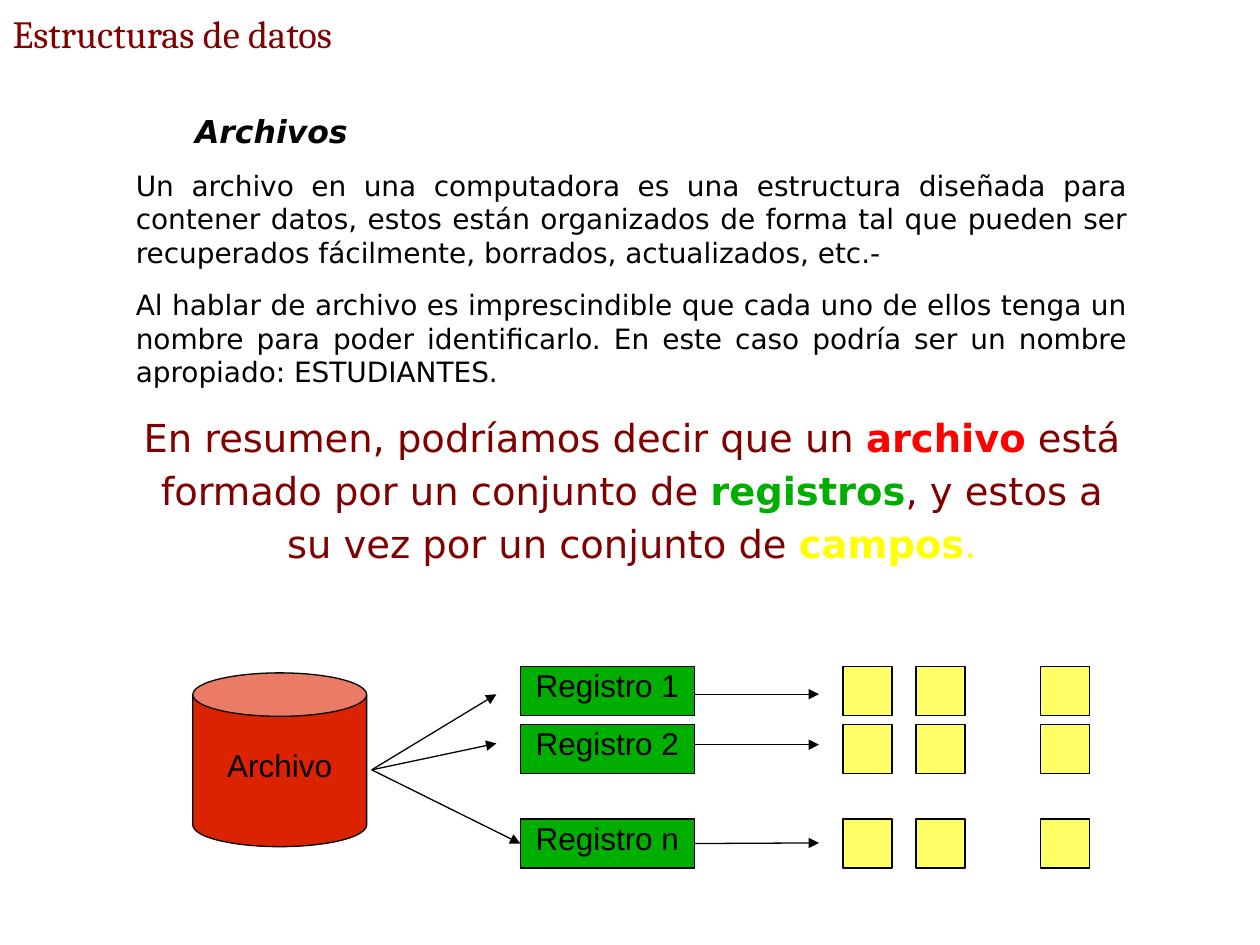
import pptx
import pptx.util
import pptx.dml.color
import pptx.enum.shapes
import pptx.enum.text
import pptx.oxml
import pptx.oxml.ns

Inches, Pt = pptx.util.Inches, pptx.util.Pt
SHAPE = pptx.enum.shapes.MSO_SHAPE
ALIGN = pptx.enum.text.PP_ALIGN
ANCHOR = pptx.enum.text.MSO_ANCHOR
FIT = pptx.enum.text.MSO_AUTO_SIZE

HUES = {
    "black": "000000", "maroon": "800000", "red": "FF0000", "green": "00AE00",
    "yellow": "FFFF00", "can": "DC2300", "field": "FFFF66",
}
TITLE = "Estructuras de datos"
HEAD = "Archivos"
PARAS = [
    "Un archivo en una computadora es una estructura diseñada para contener datos, "
    "estos están organizados de forma tal que pueden ser recuperados fácilmente, "
    "borrados, actualizados, etc.-",
    "Al hablar de archivo es imprescindible que cada uno de ellos tenga un nombre "
    "para poder identificarlo. En este caso podría ser un nombre apropiado: ESTUDIANTES.",
]
SUMMARY = [
    ("En resumen, podríamos decir que un ", "maroon", False),
    ("archivo", "red", True),
    (" está formado por un conjunto de ", "maroon", False),
    ("registros", "green", True),
    (", y estos a su vez por un conjunto de ", "maroon", False),
    ("campos", "yellow", True),
    (".", "yellow", False),
]
STORE = "Archivo"
ROWS = [
    ("Registro 1", 5.29, 5.51, (3.94, 5.51)),
    ("Registro 2", 5.75, 5.91, (3.94, 5.9)),
    ("Registro n", 6.5, 6.69, (4.13, 6.69)),
]
COLS = [6.69, 7.27, 8.26]
SIDE, WIDE, LEFT = 0.39, 1.38, 4.13
HUB = (2.95, 6.11)


def rgb(hue):
    return pptx.dml.color.RGBColor.from_string(HUES[hue])


def write(para, text, size=18, face="DejaVu Sans", hue="black", bold=False,
          slant=False, align=ALIGN.LEFT, lines=1, after=0):
    para.alignment, para.line_spacing = align, lines
    para.space_before, para.space_after = Pt(0), Pt(after)
    runs = [(text, hue, bold)] if isinstance(text, str) else text
    for words, tint, heavy in runs:
        run = para.add_run()
        run.text = words
        font = run.font
        font.size, font.name = Pt(size), face
        font.bold, font.italic = heavy, slant
        font.color.rgb = rgb(tint)


def block(slide, kind, x, y, w, h, hue, label=None):
    shape = slide.shapes.add_shape(kind, Inches(x), Inches(y), Inches(w), Inches(h))
    shape.shadow.inherit = False
    shape.fill.solid()
    shape.fill.fore_color.rgb = rgb(hue)
    shape.line.color.rgb = rgb("black")
    shape.line.width = Pt(0.75)
    if label:
        frame = shape.text_frame
        frame.word_wrap = False
        frame.vertical_anchor = ANCHOR.MIDDLE
        write(frame.paragraphs[0], label, face="Arial", align=ALIGN.CENTER, lines=0.58)
    return shape


def arrow(slide, start, end):
    ends = [Inches(v) for v in start + end]
    line = slide.shapes.add_connector(pptx.enum.shapes.MSO_CONNECTOR.STRAIGHT, *ends)
    line.line.color.rgb = rgb("black")
    line.line.width = Pt(0.75)
    tip = pptx.oxml.ns.qn("a:tailEnd")
    stroke = line.line._get_or_add_ln()
    stroke.append(stroke.makeelement(tip, {"type": "triangle"}))
    props = line._element.spPr
    props.append(props.makeelement(pptx.oxml.ns.qn("a:effectLst"), {}))
    return line


def main():
    deck = pptx.Presentation()
    deck.slide_width, deck.slide_height = Inches(10), Inches(7.5)
    slide = deck.slides.add_slide(deck.slide_layouts[5])

    title = slide.shapes.title
    title.left, title.top = Inches(0), Inches(0)
    title.width, title.height = Inches(10), Inches(0.52)
    title.text_frame.auto_size = FIT.NONE
    title.text_frame.vertical_anchor = ANCHOR.MIDDLE
    write(title.text_frame.paragraphs[0], TITLE, size=22, face="Cambria", hue="maroon")

    box = slide.shapes.add_textbox(Inches(0.98), Inches(0.84), Inches(8.07), Inches(3.76))
    frame = box.text_frame
    frame.word_wrap = True
    head = frame.paragraphs[0]
    props = head._p.get_or_add_pPr()
    props.set("marL", str(Inches(0.7)))
    props.set("indent", str(Inches(-0.23)))
    write(head, HEAD, bold=True, slant=True, after=10.6)
    for text in PARAS:
        write(frame.add_paragraph(), text, size=16, align=ALIGN.JUSTIFY, after=10.6)
    write(frame.add_paragraph(), SUMMARY, size=22, align=ALIGN.CENTER, lines=1.15, after=10.6)

    block(slide, SHAPE.CAN, 1.53, 5.34, WIDE, WIDE, "can", STORE)
    for label, top, mid, tip in ROWS:
        card = block(slide, SHAPE.RECTANGLE, LEFT, top, WIDE, SIDE, "green", label)
        link = arrow(slide, HUB, tip)
        out = arrow(slide, (LEFT + WIDE, mid), (6.5, mid))
        if abs(top + SIDE / 2 - mid) < 0.01:
            link.end_connect(card, 1)
            out.begin_connect(card, 3)
        for x in COLS:
            block(slide, SHAPE.RECTANGLE, x, top, SIDE, SIDE, "field")

    deck.save("out.pptx")


if __name__ == "__main__":
    main()
